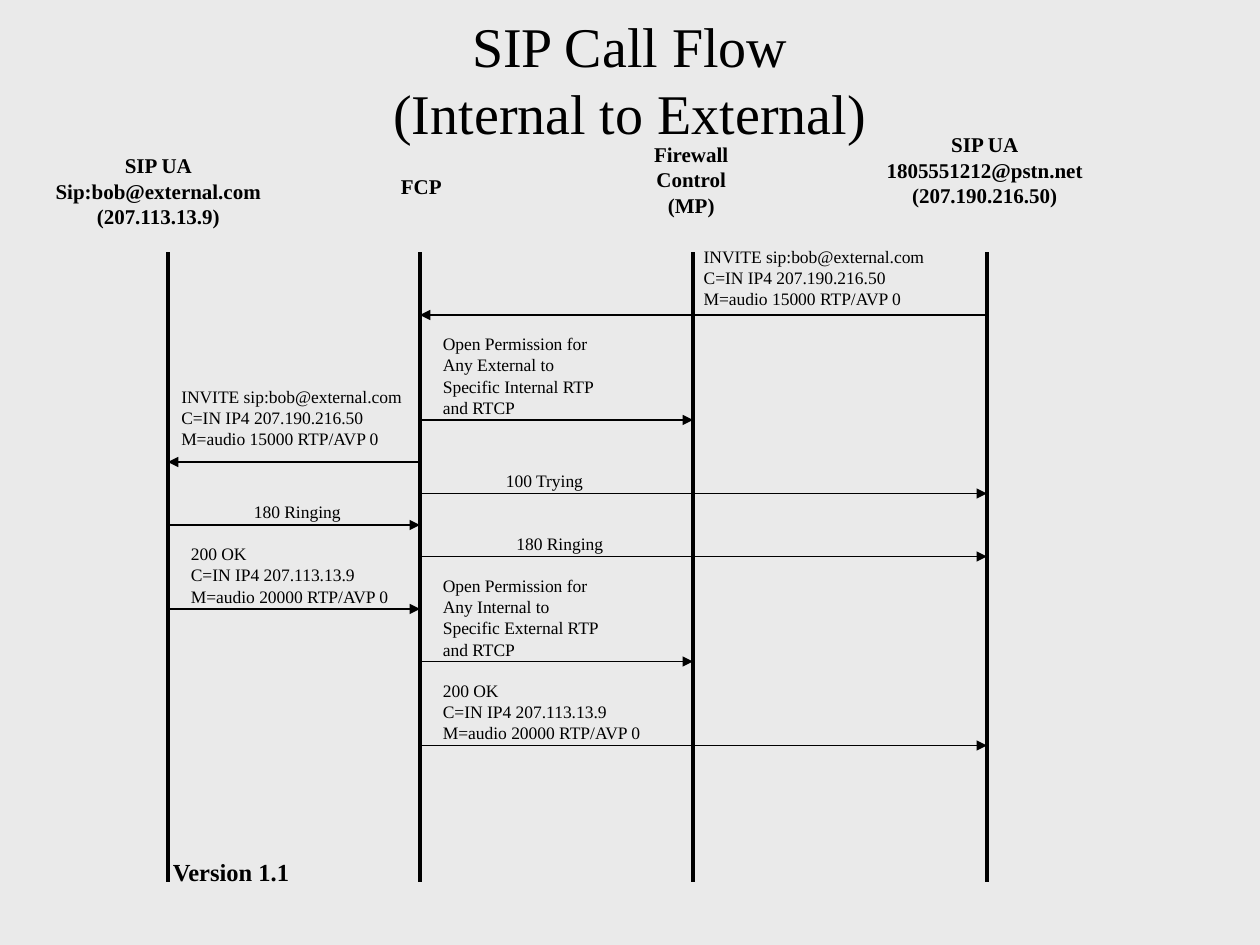
from dataclasses import dataclass

from lxml import etree
from pptx import Presentation
from pptx.dml.color import RGBColor
from pptx.enum.shapes import MSO_CONNECTOR
from pptx.enum.text import MSO_ANCHOR, MSO_AUTO_SIZE, PP_ALIGN
from pptx.oxml.ns import qn
from pptx.util import Pt

STRAIGHT = MSO_CONNECTOR.STRAIGHT
LEFT, CENTER = PP_ALIGN.LEFT, PP_ALIGN.CENTER
TOP, MIDDLE = MSO_ANCHOR.TOP, MSO_ANCHOR.MIDDLE
GROW, FIXED = MSO_AUTO_SIZE.SHAPE_TO_FIT_TEXT, MSO_AUTO_SIZE.NONE

FONT = "Times New Roman"
COLORS = {"background": "EAEAEA", "ink": "000000"}
LIFELINE_TOP, LIFELINE_BOTTOM = 144, 504
INTERNAL, FCP, FIREWALL, EXTERNAL = 96, 240, 396, 564

INVITE = "INVITE sip:bob@external.com\nC=IN IP4 207.190.216.50\nM=audio 15000 RTP/AVP 0"
ACCEPTED = "200 OK\nC=IN IP4 207.113.13.9\nM=audio 20000 RTP/AVP 0"
PERMISSION = "Open Permission for\nAny {} to\nSpecific {} RTP\nand RTCP"


@dataclass(frozen=True)
class Label:
    text: str
    left: float
    top: float
    width: float
    wrap: bool = False


@dataclass(frozen=True)
class Message:
    sender: float
    receiver: float
    y: float
    label: Label


PARTICIPANTS = [
    Label("SIP UA\nSip:bob@external.com\n(207.113.13.9)", 24.5, 90, 132),
    Label("FCP", 222, 102, 37.5),
    Label("Firewall\nControl\n(MP)", 366.5, 83.5, 57),
    Label("SIP UA\n1805551212@pstn.net\n(207.190.216.50)", 498, 78, 129.5),
]

MESSAGES = [
    Message(EXTERNAL, FCP, 180, Label(INVITE, 395, 142, 140.5)),
    Message(FCP, FIREWALL, 240,
            Label(PERMISSION.format("External", "Internal"), 246, 192, 130, True)),
    Message(FCP, INTERNAL, 264, Label(INVITE, 96.5, 222, 140.5)),
    Message(FCP, EXTERNAL, 282, Label("100 Trying", 282, 270, 59)),
    Message(INTERNAL, FCP, 300, Label("180 Ringing", 138, 288, 64)),
    Message(FCP, EXTERNAL, 318, Label("180 Ringing", 288, 306, 64)),
    Message(INTERNAL, FCP, 348, Label(ACCEPTED, 102, 312, 129)),
    Message(FCP, FIREWALL, 378,
            Label(PERMISSION.format("Internal", "External"), 246, 330, 130, True)),
    Message(FCP, EXTERNAL, 426, Label(ACCEPTED, 246, 390, 129)),
]


def color(name: str) -> RGBColor:
    return RGBColor.from_string(COLORS[name])


def add_text(page, label: Label, height: float, size: float, bold: bool = False,
             align=CENTER, anchor=TOP, auto_size=FIXED):
    box = page.shapes.add_textbox(
        Pt(label.left), Pt(label.top), Pt(label.width), Pt(height))
    frame = box.text_frame
    frame.text = label.text
    frame.word_wrap = label.wrap
    frame.auto_size = auto_size
    frame.vertical_anchor = anchor
    for para in frame.paragraphs:
        para.alignment = align
        for span in para.runs:
            span.font.name = FONT
            span.font.size = Pt(size)
            span.font.bold = bold
            span.font.color.rgb = color("ink")
    return box


def add_tight_text(page, label: Label, size: float, bold: bool = False,
                   align=LEFT) -> None:
    """Add lines at half spacing, set apart by space before each later line."""
    gap = round(size * 0.62, 1)
    count = label.text.count("\n") + 1
    height = 7.2 + count * size * 0.575 + (count - 1) * gap
    box = add_text(page, label, height, size, bold, align, auto_size=GROW)
    for index, para in enumerate(box.text_frame.paragraphs):
        para.line_spacing = 0.5
        para.space_before = Pt(gap if index else 0)


def add_line(page, x1: float, y1: float, x2: float, y2: float,
             width: float, arrow: bool = False) -> None:
    line = page.shapes.add_connector(STRAIGHT, Pt(x1), Pt(y1), Pt(x2), Pt(y2))
    line.line.color.rgb = color("ink")
    line.line.width = Pt(width)
    if arrow:
        outline = line.line._get_or_add_ln()
        etree.SubElement(outline, qn("a:tailEnd"), type="triangle")
    etree.SubElement(line._element.spPr, qn("a:effectLst"))


def main() -> None:
    deck = Presentation()
    deck.slide_width, deck.slide_height = Pt(720), Pt(540)
    page = deck.slides.add_slide(deck.slide_layouts[6])
    page.background.fill.solid()
    page.background.fill.fore_color.rgb = color("background")

    title = Label("SIP Call Flow\n(Internal to External)", 0, 0, 720, True)
    add_text(page, title, 90, 32, anchor=MIDDLE)
    for x in (INTERNAL, FCP, FIREWALL, EXTERNAL):
        add_line(page, x, LIFELINE_TOP, x, LIFELINE_BOTTOM, 2.25)
    for participant in PARTICIPANTS:
        add_tight_text(page, participant, 12, bold=True, align=CENTER)
    for message in MESSAGES:
        add_line(page, message.sender, message.y, message.receiver, message.y,
                 0.75, arrow=True)
        add_tight_text(page, message.label, 10)
    add_text(page, Label("Version 1.1", 18, 486, 228, True), 36, 14, bold=True)

    deck.save("out.pptx")


if __name__ == "__main__":
    main()
